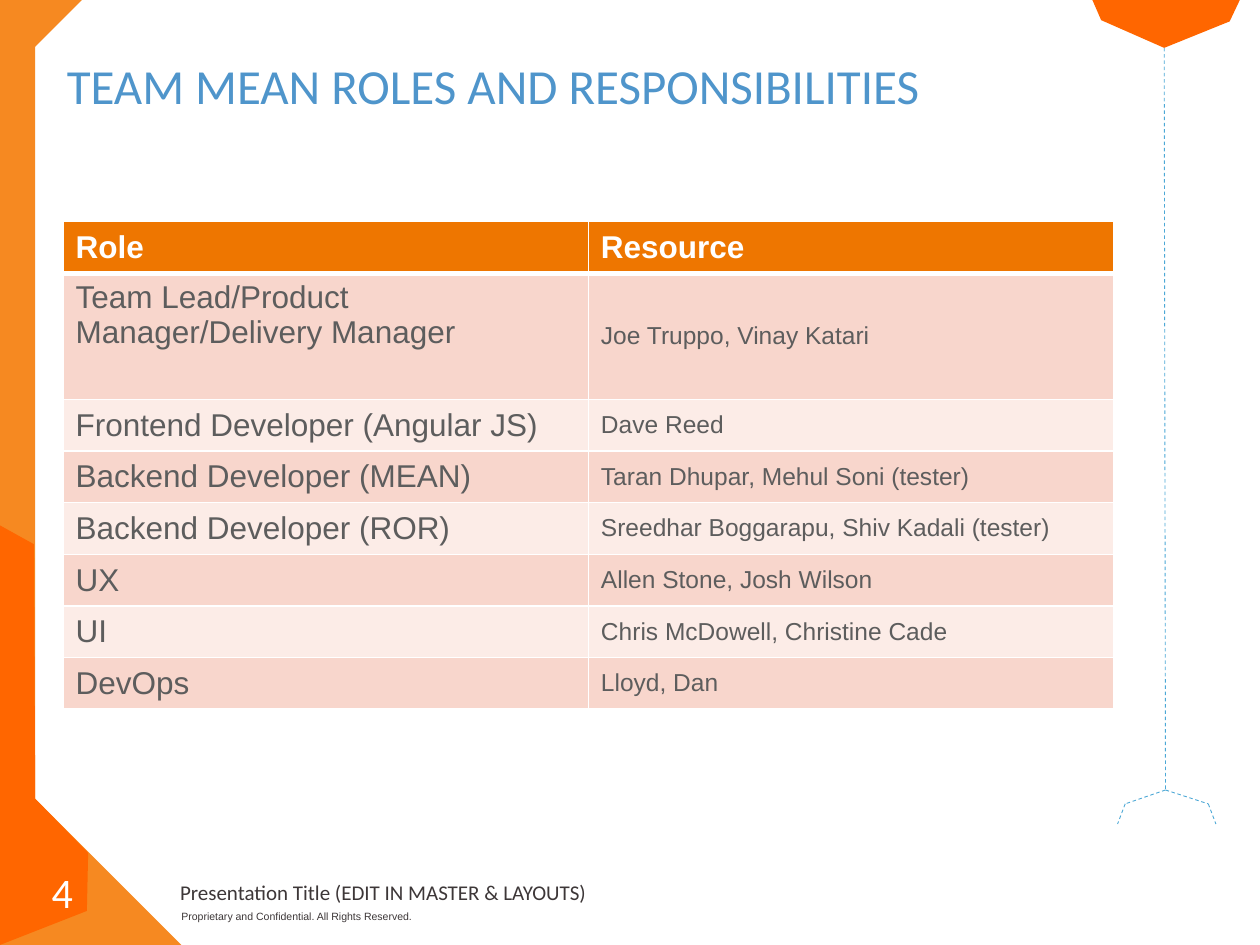
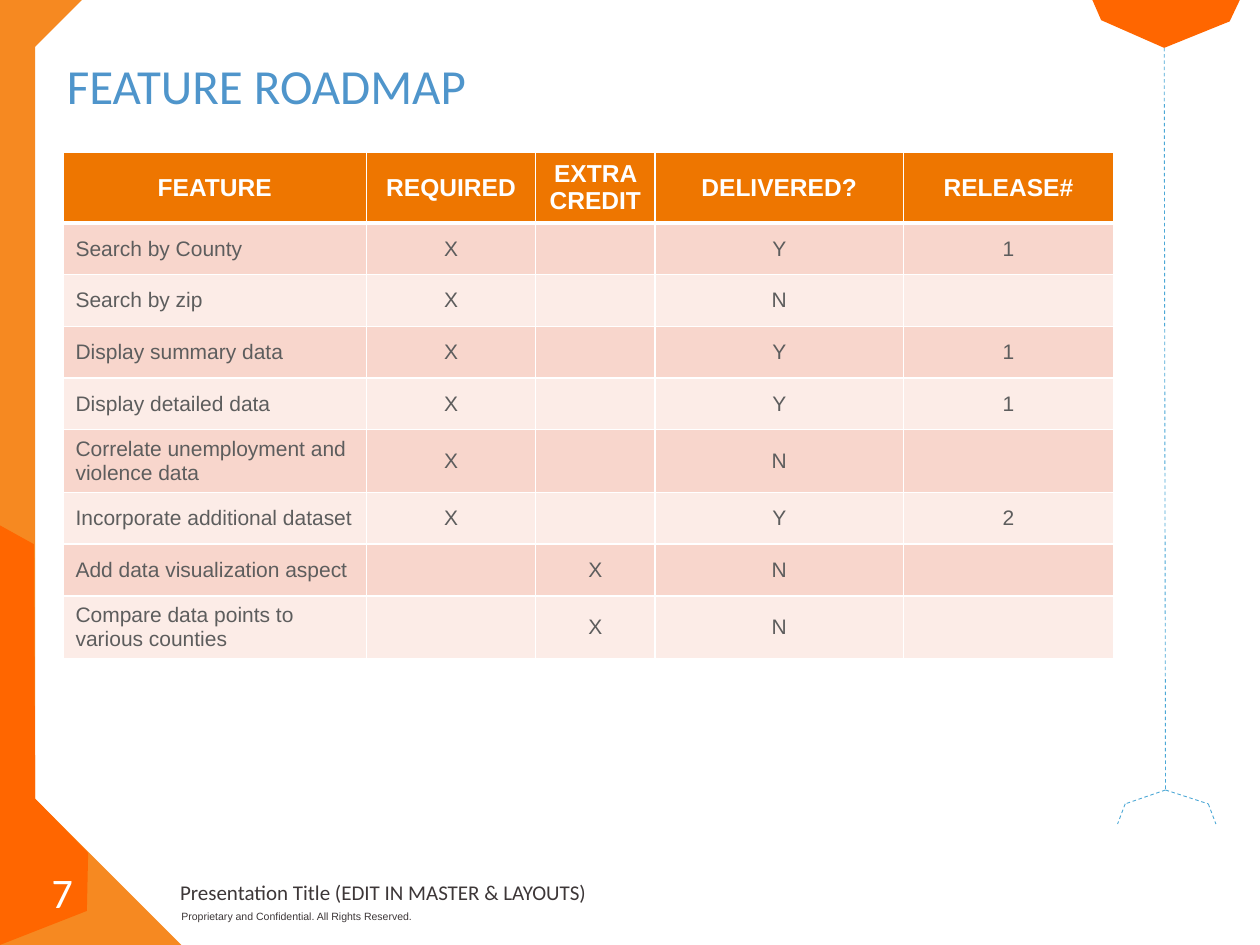
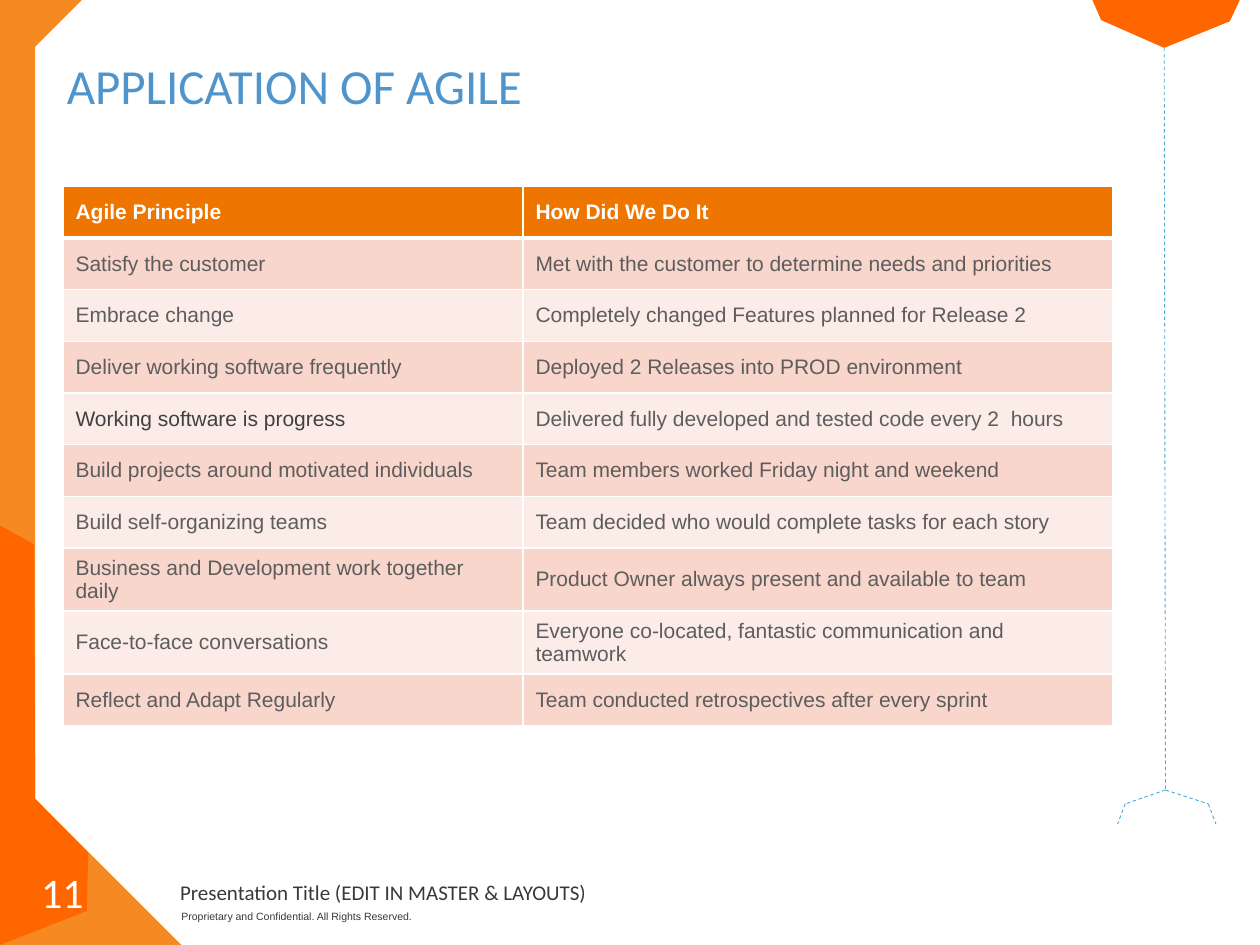
from dataclasses import dataclass, field
from typing import NamedTuple

from lxml.etree import SubElement
from pptx import Presentation
from pptx.dml.color import RGBColor
from pptx.enum.dml import MSO_LINE_DASH_STYLE as Dash
from pptx.enum.shapes import MSO_CONNECTOR as Link, MSO_SHAPE as Form
from pptx.enum.text import MSO_ANCHOR as Anchor, PP_ALIGN as Align
from pptx.oxml.ns import qn
from pptx.util import Inches, Pt

WHITE = RGBColor(0xFF, 0xFF, 0xFF)
AMBER = RGBColor(0xF6, 0x89, 0x21)
ORANGE = RGBColor(0xFF, 0x66, 0x00)
HEAD = RGBColor(0xEE, 0x76, 0x00)
BANDS = (RGBColor(0xF8, 0xD6, 0xCC), RGBColor(0xFC, 0xEC, 0xE7))
BLUE = RGBColor(0x4F, 0x95, 0xCB)
SKY = RGBColor(0x4C, 0xA8, 0xD6)
INK = RGBColor(0x3D, 0x37, 0x38)
GREY = RGBColor(0x5D, 0x5D, 0x5D)
DARK = RGBColor(0x40, 0x40, 0x40)
SANS, BODY = "Calibri", "Arial"
ROW = 0.41


class Box(NamedTuple):
    left: float
    top: float
    width: float
    height: float

    def lengths(self) -> list:
        return [Inches(v) for v in self]


class Look(NamedTuple):
    font: str
    size: float
    color: RGBColor
    bold: bool = False
    align: Align = Align.LEFT


@dataclass
class Sheet:
    title: str
    page: int
    top: float
    widths: list[float]
    rows: list[tuple]
    head_size: float
    sizes: list[float]
    centred: bool = False
    tall: dict[int, float] = field(default_factory=dict)
    upper: set[tuple] = field(default_factory=set)
    dark: set[tuple] = field(default_factory=set)


TITLE = Look(SANS, 28, BLUE)
NUMBER = Look(SANS, 24, WHITE, align=Align.CENTER)
FOOT = Look(SANS, 12, INK)
LEGAL = Look(BODY, 6, INK)

CORNER = [(0.23, 0), (0.65, 0), (0.22, 0.43)]
FLANK = [(0, 7.5), (0, 4.17), (0.27, 4.32), (0.28, 6.34), (0.7, 6.77), (0.69, 7.23)]
GEM = [(8.67, 0), (9.84, 0), (9.76, 0.17), (9.24, 0.38), (8.74, 0.16)]
PEAK = (9.25, 6.27)
DASHES = [
    ((9.24, 0.38), PEAK),
    (PEAK, (8.93, 6.38)),
    ((8.93, 6.38), (8.87, 6.54)),
    (PEAK, (9.59, 6.38)),
    ((9.59, 6.38), (9.65, 6.54)),
]

SHEETS = [
    Sheet(
        "TEAM MEAN ROLES AND RESPONSIBILITIES", 4, 1.76, [4.17, 4.17],
        [
            ("Role", "Resource"),
            ("Team Lead/Product Manager/Delivery Manager", "Joe Truppo, Vinay Katari"),
            ("Frontend Developer (Angular JS)", "Dave Reed"),
            ("Backend Developer (MEAN)", "Taran Dhupar, Mehul Soni (tester)"),
            ("Backend Developer (ROR)", "Sreedhar Boggarapu, Shiv Kadali (tester)"),
            ("UX", "Allen Stone, Josh Wilson"),
            ("UI", "Chris McDowell, Christine Cade"),
            ("DevOps", "Lloyd, Dan"),
        ],
        18, [18, 14], tall={1: 1}, upper={(1, 0)},
    ),
    Sheet(
        "FEATURE ROADMAP", 7, 1.21, [2.41, 1.34, 0.95, 1.97, 1.67],
        [
            ("FEATURE", "REQUIRED", "EXTRA CREDIT", "DELIVERED?", "RELEASE#"),
            ("Search by County", "X", "", "Y", "1"),
            ("Search by zip", "X", "", "N", ""),
            ("Display summary data", "X", "", "Y", "1"),
            ("Display detailed data", "X", "", "Y", "1"),
            ("Correlate unemployment and violence data", "X", "", "N", ""),
            ("Incorporate additional dataset", "X", "", "Y", "2"),
            ("Add data visualization aspect", "", "X", "N", ""),
            ("Compare data points to various counties", "", "X", "N", ""),
        ],
        14, [12] * 5, centred=True, tall={0: 0.56, 5: 0.5, 8: 0.5},
    ),
    Sheet(
        "APPLICATION OF AGILE", 11, 1.48, [3.65, 4.68],
        [
            ("Agile Principle", "How Did We Do It"),
            ("Satisfy the customer", "Met with the customer to determine needs and priorities"),
            ("Embrace change", "Completely changed Features planned for Release 2"),
            ("Deliver working software frequently", "Deployed 2 Releases into PROD environment"),
            ("Working software is progress",
             "Delivered fully developed and tested code every 2  hours"),
            ("Build projects around motivated individuals",
             "Team members worked Friday night and weekend"),
            ("Build self-organizing teams",
             "Team decided who would complete tasks for each story"),
            ("Business and Development work together daily",
             "Product Owner always present and available to team"),
            ("Face-to-face conversations",
             "Everyone co-located, fantastic communication and teamwork"),
            ("Reflect and Adapt Regularly", "Team conducted retrospectives after every sprint"),
        ],
        12, [12, 12], tall={7: 0.5, 8: 0.5}, dark={(4, 0)},
    ),
]


def write(frame, text: str, look: Look) -> None:
    frame.text = text
    for para in frame.paragraphs:
        para.alignment = look.align
        for run in para.runs:
            font = run.font
            font.name, font.size, font.bold = look.font, Pt(look.size), look.bold
            font.color.rgb = look.color


def pad(frame, side: float) -> None:
    frame.margin_left = frame.margin_right = Inches(side)
    frame.margin_top = frame.margin_bottom = 0


def add_text(slide, box: Box, text: str, look: Look, anchor: Anchor) -> None:
    frame = slide.shapes.add_textbox(*box.lengths()).text_frame
    frame.word_wrap = True
    frame.vertical_anchor = anchor
    pad(frame, 0)
    write(frame, text, look)


def paint(shape, color: RGBColor) -> None:
    shape.shadow.inherit = False
    shape.fill.solid()
    shape.fill.fore_color.rgb = color
    shape.line.fill.background()


def add_form(slide, form: Form, box: Box, color: RGBColor) -> None:
    paint(slide.shapes.add_shape(form, *box.lengths()), color)


def add_outline(slide, points: list[tuple], color: RGBColor) -> None:
    first, *rest = [(Inches(x), Inches(y)) for x, y in points]
    pen = slide.shapes.build_freeform(*first)
    pen.add_line_segments(rest)
    paint(pen.convert_to_shape(), color)


def add_dash(slide, start: tuple, end: tuple) -> None:
    ends = [Inches(v) for v in start + end]
    line = slide.shapes.add_connector(Link.STRAIGHT, *ends)
    line.line.color.rgb = SKY
    line.line.width = Pt(0.5)
    line.line.dash_style = Dash.DASH
    SubElement(line.element.spPr, qn("a:effectLst"))


def add_frame(slide, layout) -> None:
    """Draw the shared parts, then move them to the layout."""
    for item in list(layout.placeholders)[1:]:
        layout.shapes.element.remove(item.element)
    add_form(slide, Form.RIGHT_TRIANGLE, Box(0.15, 6.21, 1.3, 1.3), AMBER)
    add_form(slide, Form.RECTANGLE, Box(0, 0, 0.28, 7.5), AMBER)
    add_outline(slide, FLANK, ORANGE)
    add_outline(slide, CORNER, AMBER)
    add_outline(slide, GEM, ORANGE)
    for start, end in DASHES:
        add_dash(slide, start, end)
    add_text(slide, Box(1.43, 6.98, 4.5, 0.2),
             "Presentation Title (EDIT IN MASTER & LAYOUTS)", FOOT, Anchor.TOP)
    add_text(slide, Box(1.44, 7.22, 2.27, 0.1),
             "Proprietary and Confidential. All Rights Reserved.", LEGAL, Anchor.BOTTOM)
    for shape in list(slide.shapes):
        if not shape.is_placeholder:
            layout.shapes.element.append(shape.element)


def set_title(slide, text: str) -> None:
    title = slide.shapes.title
    title.left, title.top, title.width, title.height = Box(0.43, 0.21, 7.64, 1.01).lengths()
    frame = title.text_frame
    frame.vertical_anchor = Anchor.MIDDLE
    pad(frame, 0.1)
    write(frame, text, TITLE)
    frame.paragraphs[0].line_spacing = 0.8


def add_borders(cell, row: int) -> None:
    """White rules, thicker between the header and the body."""
    props = cell._tc.get_or_add_tcPr()
    widths = {"L": 1, "R": 1, "T": 3 if row == 1 else 1, "B": 3 if row == 0 else 1}
    for side, width in widths.items():
        rule = SubElement(props, qn(f"a:ln{side}"), w=str(Pt(width)))
        fill = SubElement(rule, qn("a:solidFill"))
        SubElement(fill, qn("a:srgbClr"), val=str(WHITE))


def cell_look(sheet: Sheet, row: int, col: int) -> Look:
    if row == 0:
        align = Align.CENTER if sheet.centred else Align.LEFT
        return Look(BODY, sheet.head_size, WHITE, True, align)
    align = Align.CENTER if sheet.centred and col else Align.LEFT
    color = DARK if (row, col) in sheet.dark else GREY
    return Look(BODY, sheet.sizes[col], color, False, align)


def add_grid(slide, sheet: Sheet) -> None:
    highs = [sheet.tall.get(i, ROW) for i in range(len(sheet.rows))]
    box = Box(0.5, sheet.top, sum(sheet.widths), sum(highs))
    table = slide.shapes.add_table(len(highs), len(sheet.widths), *box.lengths()).table
    for column, width in zip(table.columns, sheet.widths):
        column.width = Inches(width)
    for r, texts in enumerate(sheet.rows):
        table.rows[r].height = Inches(highs[r])
        for c, text in enumerate(texts):
            cell = table.cell(r, c)
            add_borders(cell, r)
            cell.fill.solid()
            cell.fill.fore_color.rgb = BANDS[(r - 1) % 2] if r else HEAD
            cell.vertical_anchor = Anchor.TOP if (r, c) in sheet.upper else Anchor.MIDDLE
            write(cell.text_frame, text, cell_look(sheet, r, c))


def main() -> None:
    deck = Presentation()
    deck.slide_width, deck.slide_height = Inches(10), Inches(7.5)
    layout = deck.slide_layouts.get_by_name("Title Only")
    for i, sheet in enumerate(SHEETS):
        slide = deck.slides.add_slide(layout)
        if i == 0:
            add_frame(slide, layout)
        add_grid(slide, sheet)
        set_title(slide, sheet.title)
        add_text(slide, Box(0.18, 6.7, 0.63, 0.75), str(sheet.page), NUMBER, Anchor.MIDDLE)
    deck.save("out.pptx")


if __name__ == "__main__":
    main()
